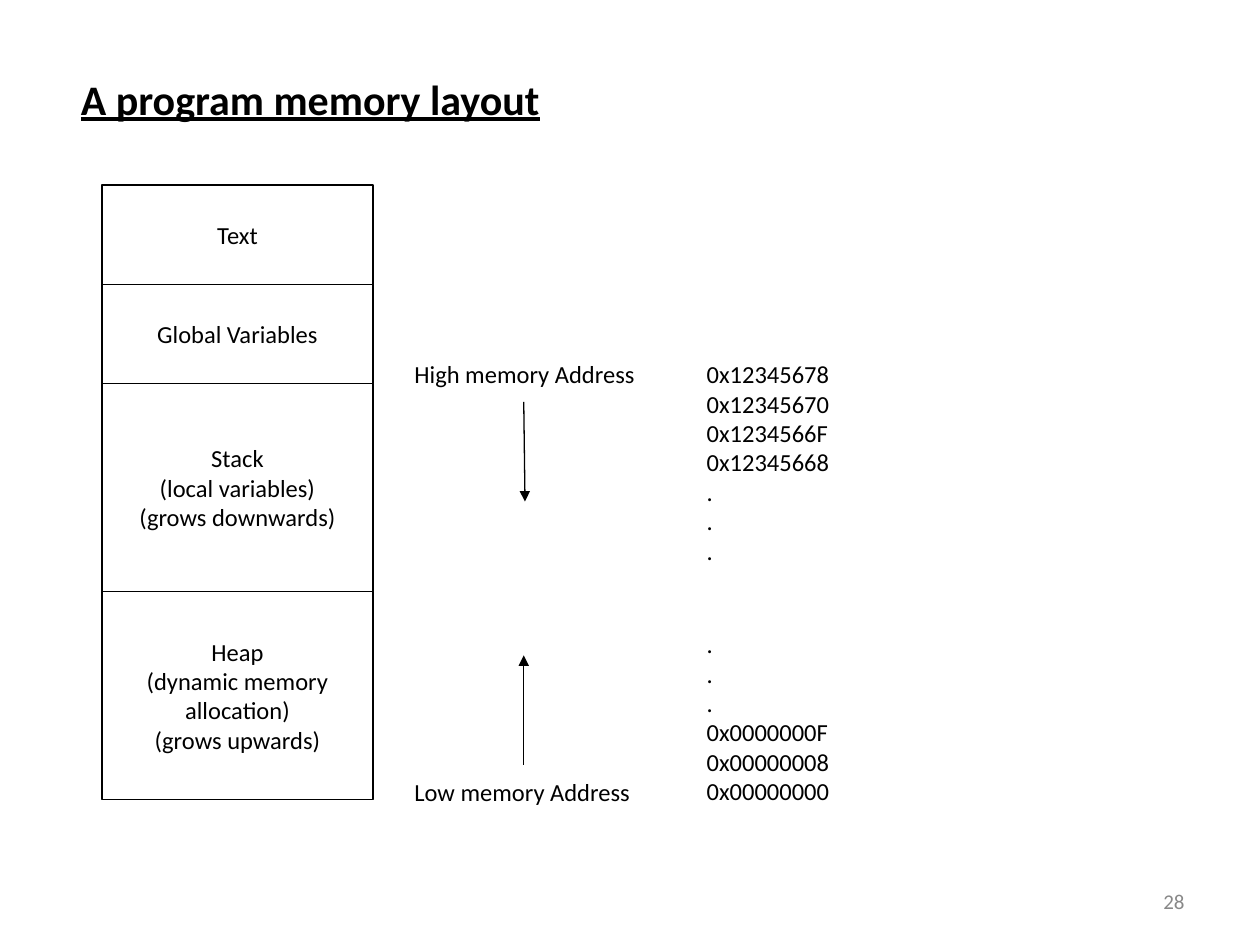
from dataclasses import dataclass

from lxml.etree import SubElement
from pptx import Presentation
from pptx.dml.color import RGBColor
from pptx.enum.shapes import MSO_CONNECTOR as Connector, MSO_SHAPE as Shape
from pptx.enum.text import MSO_ANCHOR as Anchor, MSO_AUTO_SIZE as AutoSize, PP_ALIGN as Align
from pptx.oxml.ns import qn
from pptx.util import Pt


@dataclass(frozen=True)
class Theme:
    font: str = "Calibri"
    ink: RGBColor = RGBColor(0, 0, 0)
    paper: RGBColor = RGBColor(255, 255, 255)
    muted: RGBColor = RGBColor(0x88, 0x88, 0x88)
    title_size: float = 24
    body_size: float = 14
    number_size: float = 12
    line_width: float = 0.75
    inset: float = 7.2


def write(frame, text, *, theme, size=None, color=None, align=Align.LEFT, anchor=Anchor.TOP,
          inset_y=None, bold=False, underline=False):
    """Fill a text frame, one paragraph for each line of text."""
    frame.word_wrap = True
    frame.auto_size = AutoSize.NONE
    frame.vertical_anchor = anchor
    frame.margin_left = frame.margin_right = Pt(theme.inset)
    frame.margin_top = frame.margin_bottom = Pt(theme.inset if inset_y is None else inset_y)
    frame.text = text
    for paragraph in frame.paragraphs:
        paragraph.alignment = align
        paragraph.space_before = Pt(0)
        for run in paragraph.runs:
            font = run.font
            font.name = theme.font
            font.size = Pt(size or theme.body_size)
            font.color.rgb = color or theme.ink
            font.bold = bold
            font.underline = underline


class SlideBuilder:
    def __init__(self, slide, theme):
        self.slide = slide
        self.theme = theme

    def title(self, text, left, top, width, height):
        title = self.slide.shapes.title
        title.left, title.top, title.width, title.height = map(Pt, (left, top, width, height))
        write(title.text_frame, text, theme=self.theme, size=self.theme.title_size,
              inset_y=3.6, bold=True, underline=True)

    def label(self, text, left, top, width, height, **text_format):
        label = self.slide.shapes.add_textbox(*map(Pt, (left, top, width, height)))
        write(label.text_frame, text, theme=self.theme, **text_format)

    def segment(self, text, left, top, width, height):
        segment = self.slide.shapes.add_shape(
            Shape.RECTANGLE, *map(Pt, (left, top, width, height)))
        segment.shadow.inherit = False
        segment.fill.solid()
        segment.fill.fore_color.rgb = self.theme.paper
        segment.line.color.rgb = self.theme.ink
        segment.line.width = Pt(self.theme.line_width)
        write(segment.text_frame, text, theme=self.theme,
              align=Align.CENTER, anchor=Anchor.MIDDLE)

    def arrow(self, *ends):
        arrow = self.slide.shapes.add_connector(Connector.STRAIGHT, *map(Pt, ends))
        arrow.line.color.rgb = self.theme.ink
        arrow.line.width = Pt(self.theme.line_width)
        SubElement(arrow.line._get_or_add_ln(), qn("a:tailEnd"), type="triangle")
        SubElement(arrow._element.spPr, qn("a:effectLst"))


def main():
    theme = Theme()
    deck = Presentation()
    deck.slide_width, deck.slide_height = Pt(720), Pt(540)
    builder = SlideBuilder(deck.slides.add_slide(deck.slide_layouts[5]), theme)

    builder.title("A program memory layout", 39, 38.2, 656.6, 48.2)
    builder.label("28", 516, 500.5, 168, 28.8, size=theme.number_size, color=theme.muted,
                  align=Align.RIGHT, anchor=Anchor.MIDDLE, inset_y=3.6)

    segments = [
        ("Text", 56.7),
        ("Global Variables", 56.7),
        ("Stack\n(local variables)\n(grows downwards)", 118.8),
        ("Heap\n(dynamic memory allocation)\n(grows upwards)", 118.8),
    ]
    segment_top = 105.8
    for text, height in segments:
        builder.segment(text, 58.3, segment_top, 154.8, height)
        segment_top += height

    high_top, low_top = 198, 437
    direction_left, address_left = 229.7, 396.7
    builder.label("High memory Address", direction_left, high_top, 150.5, 31.7)
    builder.label("Low memory Address", direction_left, low_top, 139.7, 31.7)
    builder.arrow(299.3, 229.7, 300, 286.6)
    builder.arrow(299.3, 437, 299.3, 374.5)

    gap_dots = ["."] * 3
    high_addresses = ["0x12345678", "0x12345670", "0x1234566F", "0x12345668"]
    low_addresses = ["0x0000000F", "0x00000008", "0x00000000"]
    builder.label("\n".join(high_addresses + gap_dots), address_left, high_top, 104.4, 133.2)
    builder.label("\n".join(gap_dots + low_addresses), address_left, 352.3, 104.4, 116.6)

    deck.save("out.pptx")


if __name__ == "__main__":
    main()
